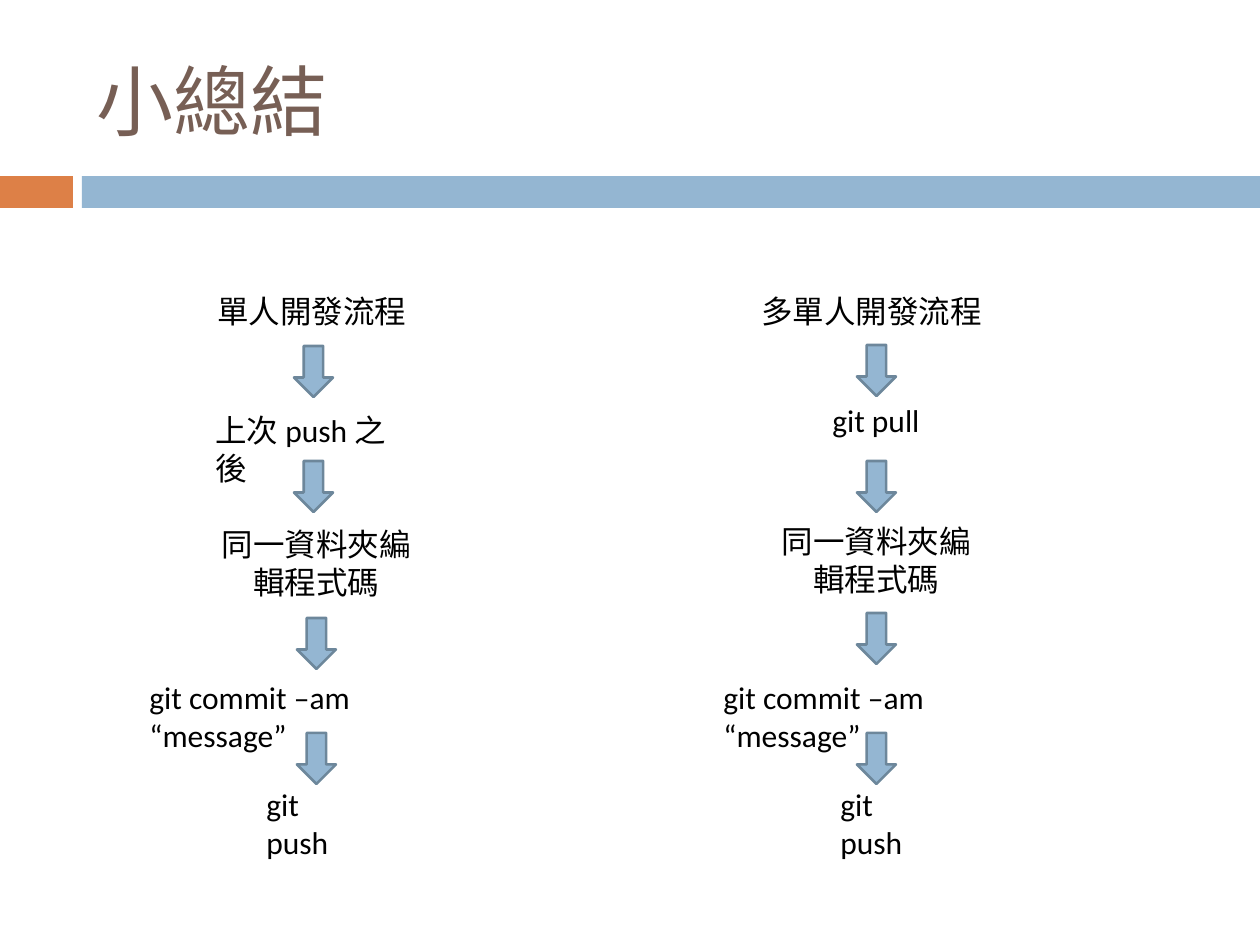
from pptx import Presentation
from pptx.dml.color import RGBColor
from pptx.enum.shapes import MSO_SHAPE
from pptx.enum.text import MSO_ANCHOR, MSO_AUTO_SIZE, PP_ALIGN
from pptx.util import Emu, Pt

PX = 914400 // 126
BLUE = RGBColor(0x94, 0xB6, 0xD2)
BLUE_EDGE = RGBColor(0x6D, 0x87, 0x9B)
ORANGE = RGBColor(0xDD, 0x80, 0x47)
BROWN = RGBColor(0x77, 0x5F, 0x55)
BLACK = RGBColor(0, 0, 0)


def add_filled(kind, left, top, width, height, color):
    shape = slide.shapes.add_shape(
        kind, *[Emu(value * PX) for value in (left, top, width, height)])
    shape.shadow.inherit = False
    shape.fill.solid()
    shape.fill.fore_color.rgb = color
    shape.line.fill.background()
    return shape


def set_text(shape, text, size, color, alignment):
    frame = shape.text_frame
    frame.word_wrap = True
    frame.auto_size = MSO_AUTO_SIZE.NONE
    frame.text = text
    paragraph = frame.paragraphs[0]
    paragraph.alignment = alignment
    font = paragraph.runs[0].font
    font.name = "Calibri"
    font.size = Pt(size)
    font.color.rgb = color


presentation = Presentation()
presentation.slide_width = Emu(1260 * PX)
presentation.slide_height = Emu(945 * PX)
slide = presentation.slides.add_slide(presentation.slide_layouts[5])

# Header band and title
add_filled(MSO_SHAPE.RECTANGLE, 0, 176, 73, 32, ORANGE)
add_filled(MSO_SHAPE.RECTANGLE, 82, 176, 1178, 32, BLUE)

title = slide.shapes.title
title.left, title.top = Emu(84 * PX), Emu(32 * PX)
title.width, title.height = Emu(1124 * PX), Emu(136 * PX)
set_text(title, "小總結", 44, BROWN, PP_ALIGN.LEFT)
title.text_frame.vertical_anchor = MSO_ANCHOR.MIDDLE

# Each step: text, left, top, width, height, alignment
EDIT_STEP = "同一資料夾編輯程式碼"
COMMIT_STEP = "git commit –am “message”"
LEFT, CENTER = PP_ALIGN.LEFT, PP_ALIGN.CENTER
solo_steps = [
    ("單人開發流程", 205, 286, 217, 50, LEFT),
    ("上次 push 之後", 203, 405, 226, 50, LEFT),
    (EDIT_STEP, 208, 519, 217, 89, CENTER),
    (COMMIT_STEP, 137, 672, 359, 50, LEFT),
    ("git push", 254, 779, 123, 50, LEFT),
]
team_steps = [
    ("多單人開發流程", 749, 286, 249, 50, LEFT),
    ("git pull", 820, 395, 114, 50, LEFT),
    (EDIT_STEP, 768, 516, 217, 89, CENTER),
    (COMMIT_STEP, 711, 672, 359, 50, LEFT),
    ("git push", 828, 779, 123, 50, LEFT),
]
# Left and top of the arrows between the steps
solo_arrows = [(294, 346), (294, 461), (297, 618), (297, 733)]
team_arrows = [(857, 345), (857, 461), (857, 613), (857, 733)]

for steps, arrows in ((solo_steps, solo_arrows), (team_steps, team_arrows)):
    for text, left, top, width, height, alignment in steps:
        box = slide.shapes.add_textbox(
            *[Emu(value * PX) for value in (left, top, width, height)])
        set_text(box, text, 18, BLACK, alignment)
    for left, top in arrows:
        arrow = add_filled(MSO_SHAPE.DOWN_ARROW, left, top, 39, 51, BLUE)
        arrow.line.color.rgb = BLUE_EDGE
        arrow.line.width = Pt(1.5)

presentation.save("out.pptx")
